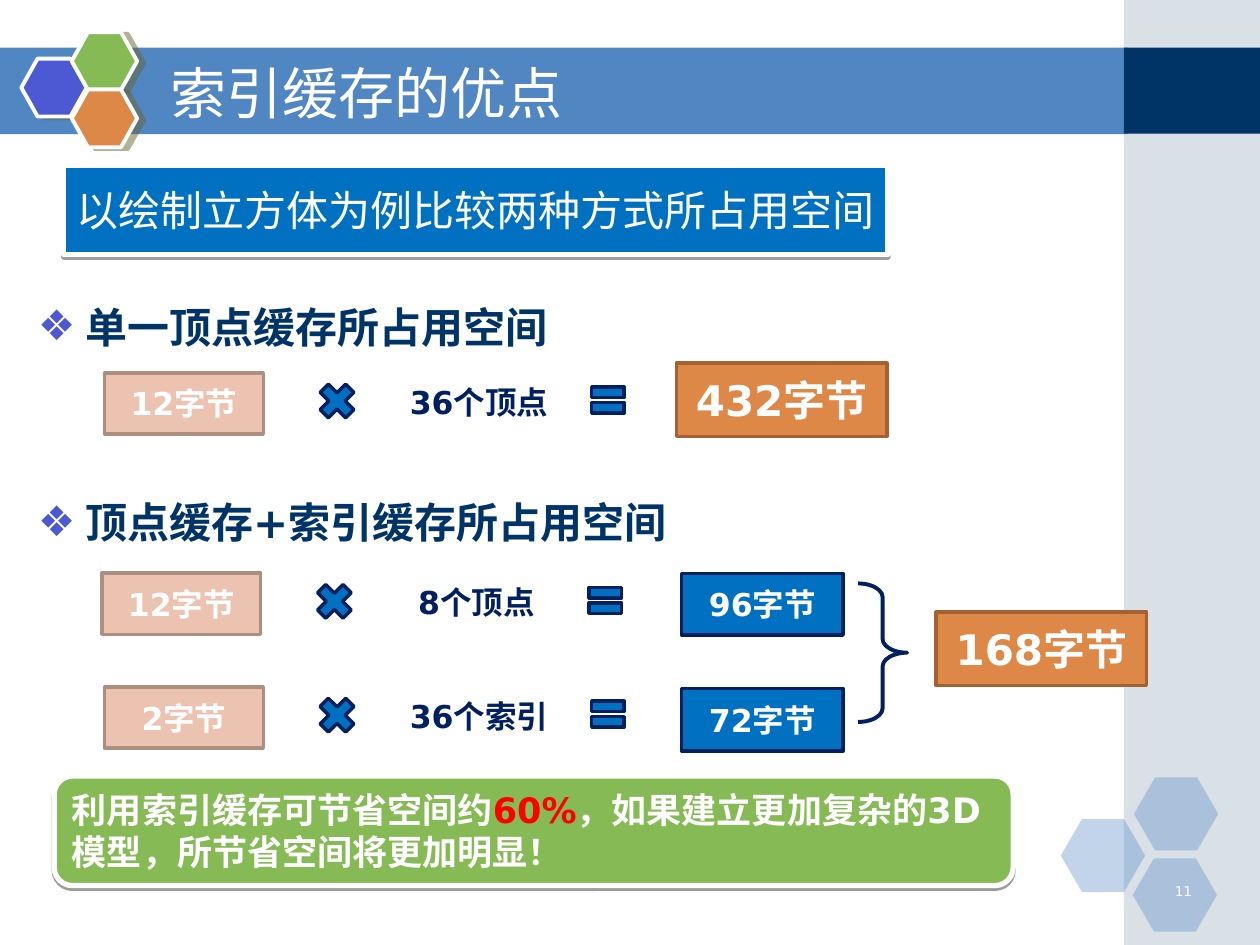
from dataclasses import dataclass
from typing import Optional

from lxml.etree import SubElement
from pptx import Presentation
from pptx.dml.color import RGBColor
from pptx.enum.shapes import MSO_SHAPE as Preset
from pptx.enum.text import MSO_ANCHOR as Anchor, MSO_AUTO_SIZE as AutoSize, PP_ALIGN as Align
from pptx.oxml.ns import qn
from pptx.util import Pt

FONT = "DejaVu Sans"
WHITE = RGBColor(0xFF, 0xFF, 0xFF)
BLACK = RGBColor(0x00, 0x00, 0x00)
RED = RGBColor(0xFF, 0x00, 0x00)
BAND_BLUE = RGBColor(0x50, 0x86, 0xC2)
PALE_SLATE = RGBColor(0xA0, 0xB5, 0xC4)
DEEP_BLUE = RGBColor(0x00, 0x33, 0x66)
NAVY = RGBColor(0x00, 0x20, 0x60)
BLUE = RGBColor(0x00, 0x70, 0xC0)
VIOLET = RGBColor(0x4C, 0x59, 0xD2)
GREEN = RGBColor(0x85, 0xBA, 0x54)
ORANGE = RGBColor(0xDE, 0x88, 0x48)
BROWN = RGBColor(0xA3, 0x62, 0x32)
PINK = RGBColor(0xEC, 0xC3, 0xB1)
TAUPE = RGBColor(0xAD, 0x8F, 0x81)
OLIVE = RGBColor(0x66, 0x66, 0x33)


@dataclass(frozen=True)
class Box:
    left: float
    top: float
    width: float
    height: float


@dataclass(frozen=True)
class Shadow:
    color: RGBColor
    opacity: int
    distance: float
    angle: int


@dataclass(frozen=True)
class Style:
    fill: Optional[RGBColor] = None
    line: Optional[RGBColor] = None
    weight: float = 2
    opacity: int = 100
    shadow: Optional[Shadow] = None


@dataclass(frozen=True)
class Label:
    text: str
    size: float = 18
    color: RGBColor = WHITE
    bold: bool = True
    align: Align = Align.CENTER


@dataclass(frozen=True)
class Product:
    left: float
    top: float
    unit: str
    count: str


CARD_SHADOW = Shadow(BLACK, 38, 1.6, 90)
HEX_SHADOW = Shadow(OLIVE, 50, 4.1, 14)
UNIT = Style(PINK, TAUPE)
OPERATOR = Style(BLUE, NAVY)
TOTAL = Style(ORANGE, BROWN)

PRODUCTS = [
    Product(59.8, 213, "12字节", "36个顶点"),
    Product(58.3, 327.5, "12字节", "8个顶点"),
    Product(59.8, 392.5, "2字节", "36个索引"),
]
TOTALS = [
    (Box(386.6, 207.5, 120.2, 42), Label("432字节", 24)),
    (Box(535, 349.7, 120.2, 42), Label("168字节", 24)),
]
SUBTOTALS = [
    (Box(389.5, 327.6, 92.2, 35.3), Label("96字节")),
    (Box(389.5, 393.5, 92.2, 35.8), Label("72字节")),
]
CORNER_HEXAGONS = [(606.2, 468), (648, 444.2), (647.3, 490.5)]
LOGO_HEXAGONS = [(12.2, 33.5, VIOLET), (41, 18.4, GREEN), (41, 51.1, ORANGE)]


def place(shape, box: Box) -> None:
    shape.left, shape.top = Pt(box.left), Pt(box.top)
    shape.width, shape.height = Pt(box.width), Pt(box.height)


def set_font(font, size: float, color: RGBColor, bold: bool = False) -> None:
    font.name, font.size, font.bold = FONT, Pt(size), bold
    font.color.rgb = color


def set_opacity(color_element, percent: int) -> None:
    SubElement(color_element, qn("a:alpha"), val=str(percent * 1000))


def add_shadow(shape, shadow: Shadow) -> None:
    effects = shape._element.spPr.find(qn("a:effectLst"))
    outer = SubElement(effects, qn("a:outerShdw"), blurRad="0",
                       dist=str(Pt(shadow.distance)), dir=str(shadow.angle * 60000),
                       algn="ctr", rotWithShape="0")
    set_opacity(SubElement(outer, qn("a:srgbClr"), val=str(shadow.color)), shadow.opacity)


def add_preset(slide, preset: Preset, box: Box, style: Style,
               label: Optional[Label] = None, adjust: Optional[float] = None):
    shape = slide.shapes.add_shape(preset, Pt(box.left), Pt(box.top), Pt(box.width), Pt(box.height))
    shape.shadow.inherit = False
    if style.fill is None:
        shape.fill.background()
    else:
        shape.fill.solid()
        shape.fill.fore_color.rgb = style.fill
        if style.opacity < 100:
            set_opacity(shape._element.spPr.find(f"{qn('a:solidFill')}/{qn('a:srgbClr')}"), style.opacity)
    if style.line is None:
        shape.line.fill.background()
    else:
        shape.line.color.rgb = style.line
        shape.line.width = Pt(style.weight)
    if style.shadow:
        add_shadow(shape, style.shadow)
    if adjust is not None:
        shape.adjustments[0] = adjust
    if label:
        shape.text_frame.word_wrap = True
        shape.text_frame.vertical_anchor = Anchor.MIDDLE
        paragraph = shape.text_frame.paragraphs[0]
        paragraph.text, paragraph.alignment = label.text, label.align
        set_font(paragraph.font, label.size, label.color, label.bold)
    return shape


def add_backdrop(slide) -> None:
    add_preset(slide, Preset.RECTANGLE, Box(0, 27.2, 644.4, 49.4), Style(BAND_BLUE))
    add_preset(slide, Preset.RECTANGLE, Box(642.2, 0, 77.8, 540), Style(PALE_SLATE, opacity=40))
    add_preset(slide, Preset.RECTANGLE, Box(642.2, 27.2, 77.8, 49.2), Style(DEEP_BLUE))
    for left, top in CORNER_HEXAGONS:
        add_preset(slide, Preset.HEXAGON, Box(left, top, 48.2, 41.8),
                   Style(BAND_BLUE, opacity=35), adjust=0.29)
    for left, top, color in LOGO_HEXAGONS:
        add_preset(slide, Preset.HEXAGON, Box(left, top, 37.4, 33.1),
                   Style(color, WHITE, 2.25, shadow=HEX_SHADOW), adjust=0.28)


def fill_title(title, text: str) -> None:
    title._element.getparent().append(title._element)
    place(title, Box(90, 30.2, 527.8, 44.6))
    frame = title.text_frame
    frame.auto_size, frame.vertical_anchor = AutoSize.NONE, Anchor.MIDDLE
    paragraph = frame.paragraphs[0]
    paragraph.text, paragraph.alignment = text, Align.LEFT
    set_font(paragraph.font, 32, WHITE)


def fill_headings(body, headings: list[str]) -> None:
    body._element.getparent().append(body._element)
    place(body, Box(14.4, 139.7, 617.8, 323.3))
    frame = body.text_frame
    frame.auto_size, frame.vertical_anchor = AutoSize.NONE, Anchor.TOP
    for index, heading in enumerate(headings):
        paragraph = frame.add_paragraph() if index else frame.paragraphs[0]
        paragraph.text = heading
        paragraph.line_spacing = 2.0
        paragraph.space_before = Pt(54 if index else 0)
        properties = paragraph._p.get_or_add_pPr()
        properties.set("marL", str(Pt(27)))
        properties.set("indent", str(Pt(-27)))
        SubElement(SubElement(properties, qn("a:buClr")), qn("a:srgbClr"), val=str(VIOLET))
        SubElement(properties, qn("a:buFont"), typeface=FONT)
        SubElement(properties, qn("a:buChar"), char="❖")
        set_font(paragraph.font, 24, DEEP_BLUE, True)


def add_product(slide, product: Product) -> None:
    left, top = product.left, product.top
    add_preset(slide, Preset.RECTANGLE, Box(left, top, 90.7, 35), UNIT, Label(product.unit))
    add_preset(slide, Preset.MATH_MULTIPLY, Box(left + 118.8, top + 2.2, 28, 28), OPERATOR)
    add_preset(slide, Preset.RECTANGLE, Box(left + 164.2, top - 1, 99.4, 35), Style(WHITE),
               Label(product.count, color=NAVY))
    add_preset(slide, Preset.MATH_EQUAL, Box(left + 275, top + 3, 25.2, 25.2), OPERATOR)


def add_conclusion(slide) -> None:
    card = add_preset(slide, Preset.ROUNDED_RECTANGLE, Box(31, 443.5, 548, 62.6),
                      Style(GREEN, WHITE, 3, shadow=CARD_SHADOW),
                      Label("利用索引缓存可节省空间约", 20, align=Align.LEFT))
    paragraph = card.text_frame.paragraphs[0]
    saving = paragraph.add_run()
    saving.text = "60%"
    saving.font.color.rgb = RED
    paragraph.add_run().text = "，如果建立更加复杂的3D模型，所节省空间将更加明显！"


def add_page_number(slide, number: str) -> None:
    box = slide.shapes.add_textbox(Pt(652.3), Pt(502.6), Pt(36), Pt(18))
    box.text_frame.word_wrap = True
    paragraph = box.text_frame.paragraphs[0]
    paragraph.text, paragraph.alignment, paragraph.line_spacing = number, Align.RIGHT, 0.8
    set_font(paragraph.font, 7.8, WHITE)


def main() -> None:
    deck = Presentation()
    deck.slide_width, deck.slide_height = Pt(720), Pt(540)
    slide = deck.slides.add_slide(deck.slide_layouts[1])
    add_backdrop(slide)
    fill_title(slide.shapes.title, "索引缓存的优点")
    fill_headings(slide.placeholders[1], ["单一顶点缓存所占用空间", "顶点缓存+索引缓存所占用空间"])
    add_preset(slide, Preset.RECTANGLE, Box(36.5, 94.3, 471, 51.1),
               Style(BLUE, WHITE, 3, shadow=CARD_SHADOW),
               Label("以绘制立方体为例比较两种方式所占用空间", 24, bold=False, align=Align.LEFT))
    for product in PRODUCTS:
        add_product(slide, product)
    for box, label in SUBTOTALS:
        add_preset(slide, Preset.RECTANGLE, box, OPERATOR, label)
    add_preset(slide, Preset.RIGHT_BRACE, Box(490.3, 333.4, 28.1, 79.2), Style(line=NAVY, weight=2.25),
               adjust=0.28)
    for box, label in TOTALS:
        add_preset(slide, Preset.RECTANGLE, box, TOTAL, label)
    add_conclusion(slide)
    add_page_number(slide, "11")
    deck.save("out.pptx")


if __name__ == "__main__":
    main()
